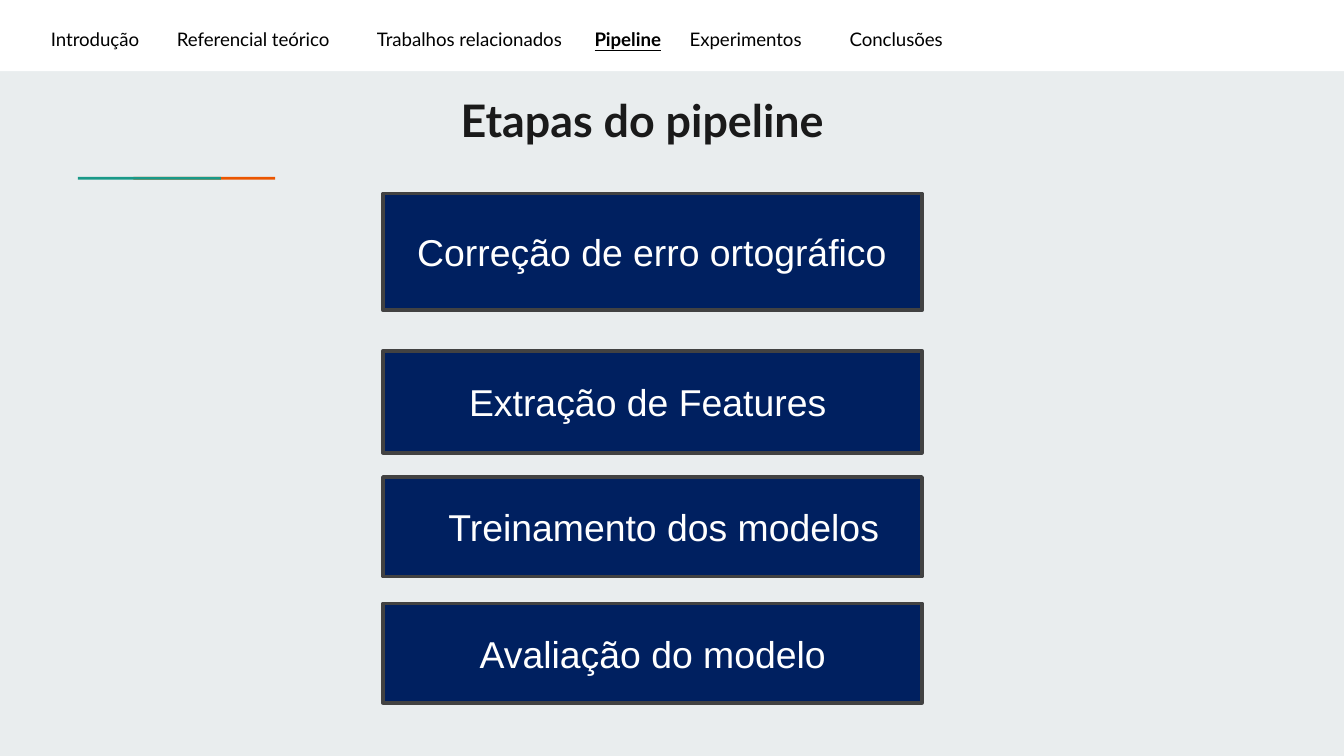
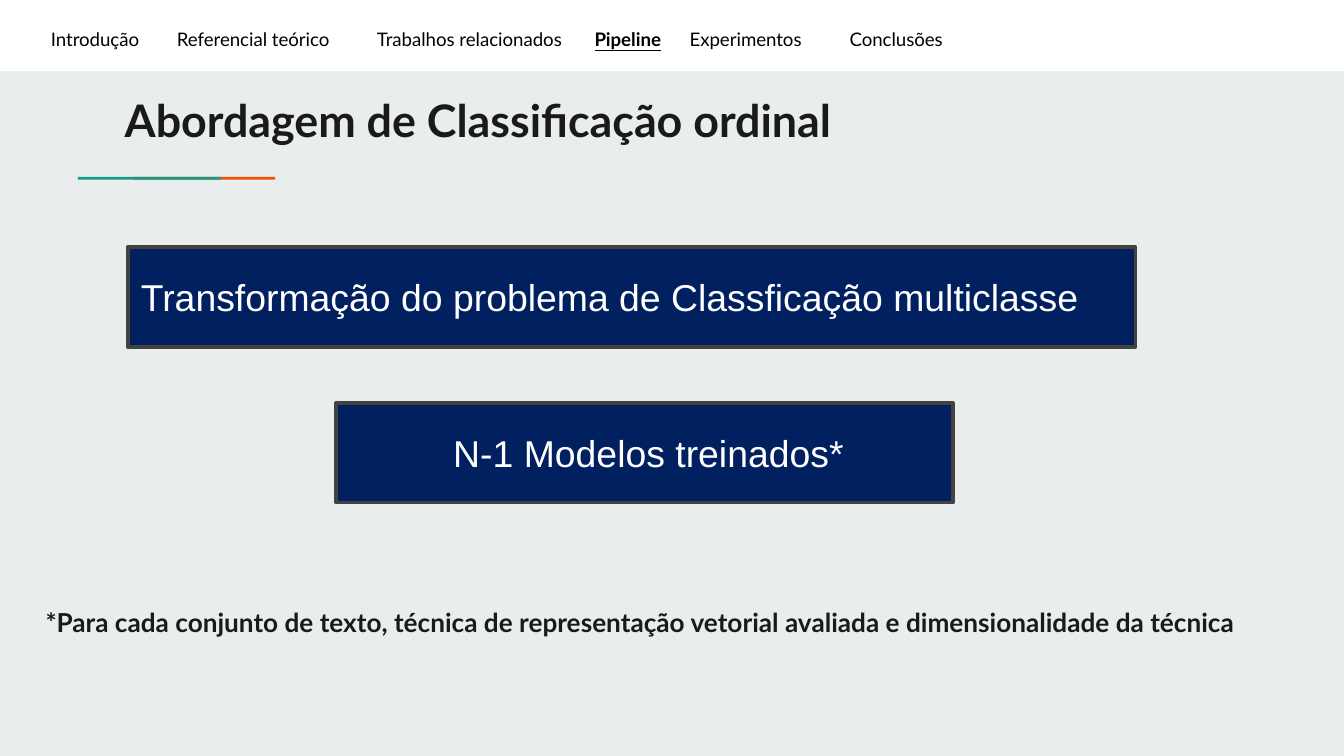
from lxml import etree
from pptx import Presentation
from pptx.dml.color import RGBColor
from pptx.enum import shapes, text
from pptx.oxml import ns
from pptx.util import Pt

HUES = {"back": "E9EDEE", "band": "FFFFFF", "green": "1A9988",
        "orange": "EB5600", "dark": "1A1A1A", "nav": "000000",
        "navy": "002060", "edge": "424242", "white": "FFFFFF"}
TABS = [("Introdução", 0), ("Referencial teórico", 67.5),
        ("Trabalhos relacionados", 174.7), ("Pipeline", 291.3),
        ("Experimentos", 342.2), ("Conclusões", 427.9)]
HERE = "Pipeline"

# Per slide: title, title left, boxes (label, left, top, width, height, indent), note
PAGES = [
    ("Etapas do pipeline", 239.76, [
        ("Correção de erro ortográfico", 205.2, 103.7, 288.7, 62.6, 11.1),
        ("Extração de Features", 205.2, 187.9, 288.7, 54.7, 38.9),
        ("Treinamento dos modelos", 205.2, 255.6, 288.7, 53.3, 27.8),
        ("Avaliação do modelo", 205.2, 323.3, 288.7, 53.3, 44.5)], None),
    ("Abordagem de Classificação ordinal", 59.76, [
        ("Transformação do problema de Classficação multiclasse",
         68.4, 132.5, 540, 53.3, 0),
        ("N-1 Modelos treinados*", 180, 216, 330.5, 53.3, 55.6)],
     "*Para cada conjunto de texto, técnica de representação vetorial "
     "avaliada e dimensionalidade da técnica"),
]


def block(page, hue, *rect):
    """Add a plain filled rectangle."""
    shape = page.shapes.add_shape(shapes.MSO_SHAPE.RECTANGLE, *map(Pt, rect))
    shape.shadow.inherit = False
    shape.fill.solid()
    shape.fill.fore_color.rgb = RGBColor.from_string(HUES[hue])
    shape.line.fill.background()
    return shape


def write(para, words, size, hue, face="Lato", bold=False, under=False):
    """Add one styled run."""
    run = para.add_run()
    run.text = words
    font = run.font
    font.name, font.size, font.bold, font.underline = face, Pt(size), bold, under
    font.color.rgb = RGBColor.from_string(HUES[hue])


deck = Presentation()
deck.slide_width, deck.slide_height = Pt(720), Pt(405)
fill = deck.slide_master.background.fill
fill.solid()
fill.fore_color.rgb = RGBColor.from_string(HUES["back"])

for title, left, boxes, note in PAGES:
    page = deck.slides.add_slide(deck.slide_layouts[6])

    # Top band and two-tone rule
    block(page, "band", 0, 0, 720, 38.2)
    block(page, "orange", 71.4, 94.8, 76, 1.5)
    block(page, "green", 41.8, 94.8, 76.6, 1.5)

    # Title, section menu and footnote frames
    frames = []
    for rect in ((left, 42.5, 460, 38.9), (20.16, 8.64, 530.6, 21.6),
                 (17.28, 317.5, 670.3, 38.9)):
        if rect[1] > 300 and not note:
            continue
        frame = page.shapes.add_textbox(*map(Pt, rect)).text_frame
        frame.word_wrap = True
        frame.margin_left = frame.margin_right = Pt(7.2)
        frame.margin_top = frame.margin_bottom = Pt(7.2)
        frames.append(frame.paragraphs[0])
    write(frames[0], title, 24, "dark", bold=True)
    if note:
        write(frames[2], note, 14, "dark", bold=True)

    # Section menu on tab stops, current section marked
    menu = frames[1]
    stops = etree.SubElement(menu._p.get_or_add_pPr(), ns.qn("a:tabLst"))
    for name, stop in TABS:
        if stop:
            etree.SubElement(stops, ns.qn("a:tab"), pos=str(Pt(stop)), algn="l")
            write(menu, "\t", 10, "nav")
        write(menu, name, 10, "nav", bold=name == HERE, under=name == HERE)

    # Step boxes
    for label, x, y, wide, high, indent in boxes:
        box = block(page, "navy", x, y, wide, high)
        box.line.color.rgb = RGBColor.from_string(HUES["edge"])
        box.line.width = Pt(2)
        etree.SubElement(box.line._get_or_add_ln(), ns.qn("a:round"))
        frame = box.text_frame
        frame.word_wrap = True
        frame.vertical_anchor = text.MSO_ANCHOR.MIDDLE
        frame.margin_left = Pt(7.2 + indent)
        para = frame.paragraphs[0]
        para.alignment = text.PP_ALIGN.LEFT
        write(para, label, 20, "white", face="Arial")

deck.save("out.pptx")
